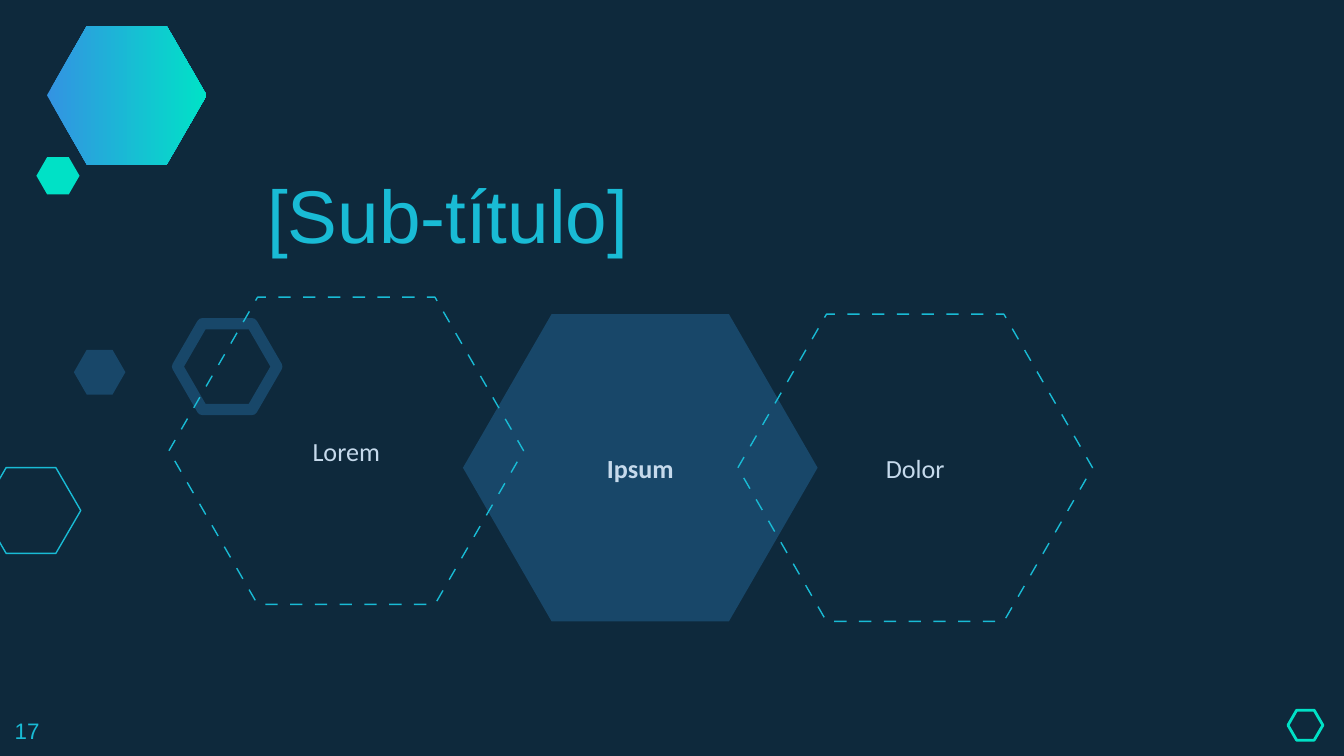
import pptx
import pptx.util
import pptx.dml.color
import pptx.enum.shapes
import pptx.enum.text
import pptx.oxml

Pt = pptx.util.Pt
ALIGN = pptx.enum.text.PP_ALIGN
ANCHOR = pptx.enum.text.MSO_ANCHOR
NS = "http://schemas.openxmlformats.org/drawingml/2006/main"
NAVY, BLUE, CYAN, MINT, PALE = "0E293C", "184769", "19BBD5", "00E1C6", "C6DAEC"


def paint(color, value):
    """Set a colour from a hex string."""
    color.rgb = pptx.dml.color.RGBColor.from_string(value)


def blend(fill, first, last):
    """Fill from left to right with two colours."""
    fill.gradient()
    fill.gradient_angle = 0
    for stop, value, place in zip(fill.gradient_stops, (first, last), (0, 1)):
        paint(stop.color, value)
        stop.position = place


def dash(line):
    """Give a line long, evenly spaced dashes."""
    line._get_or_add_ln().append(pptx.oxml.parse_xml(
        f'<a:custDash xmlns:a="{NS}"><a:ds d="900000" sp="900000"/></a:custDash>'))


def add_hex(shapes, left, top, width, height, fill=None, line=None, weight=0.74):
    """Add a regular hexagon with a plain fill, an outline or neither."""
    kind = pptx.enum.shapes.MSO_SHAPE.HEXAGON
    shape = shapes.add_shape(kind, Pt(left), Pt(top), Pt(width), Pt(height))
    shape.adjustments[0] = 0.25 * width / height
    shape.shadow.inherit = False
    if fill:
        shape.fill.solid()
        paint(shape.fill.fore_color, fill)
    else:
        shape.fill.background()
    if line:
        paint(shape.line.color, line)
        shape.line.width = Pt(weight)
    else:
        shape.line.fill.background()
    return shape


def add_text(shapes, box, words, size, font, color, bold=False,
             align=ALIGN.LEFT, anchor=ANCHOR.TOP, wrap=True):
    """Add a text box that holds one run."""
    frame = shapes.add_textbox(*map(Pt, box)).text_frame
    frame.word_wrap = wrap
    frame.vertical_anchor = anchor
    frame.margin_left = frame.margin_right = Pt(7.2)
    frame.margin_top = frame.margin_bottom = Pt(7.2)
    para = frame.paragraphs[0]
    para.alignment = align
    run = para.add_run()
    run.text = words
    run.font.size = Pt(size)
    run.font.name = font
    run.font.bold = bold
    paint(run.font.color, color)


def add_cell(slide, left, top, words, solid=False):
    """Add a large labelled hexagon, solid or dashed."""
    group = slide.shapes.add_group_shape().shapes
    if solid:
        add_hex(group, left, top, 190, 164.6, fill=BLUE)
    else:
        dash(add_hex(group, left, top, 190, 164.6, line=CYAN).line)
    add_text(group, (left + 32, top + 66.8, 126, 31), words, 14, "Calibri", PALE,
             solid, ALIGN.CENTER, ANCHOR.MIDDLE)


def add_decor(slide):
    """Add the small hexagons around the edges."""
    shapes = slide.shapes
    large = add_hex(shapes, 25.2, 13.9, 85.5, 74.3)
    blend(large.fill, "3393E2", "00E2C7")
    add_hex(shapes, -10, 250.5, 53.3, 46, line=CYAN)
    add_hex(shapes, 39.6, 187.4, 27.6, 24, fill=BLUE)
    add_hex(shapes, 95.1, 173.4, 53.2, 46, line=BLUE, weight=6)
    add_hex(shapes, 19.5, 84.2, 23.1, 20, fill=MINT)
    add_hex(shapes, 690, 380.5, 18.7, 16.1, line=MINT, weight=1.5)


def main():
    """Build and save the slide."""
    deck = pptx.Presentation()
    deck.slide_width, deck.slide_height = Pt(720), Pt(405)
    slide = deck.slides.add_slide(deck.slide_layouts[6])
    slide.background.fill.solid()
    paint(slide.background.fill.fore_color, NAVY)
    add_decor(slide)
    add_cell(slide, 248, 168.3, "Ipsum", solid=True)
    add_text(slide.shapes, (136.1, 83.5, 389.5, 62), "[Sub-título]", 40, "Arial", CYAN,
             anchor=ANCHOR.BOTTOM)
    add_cell(slide, 90.5, 159.2, "Lorem")
    add_cell(slide, 395.3, 168.3, "Dolor")
    add_text(slide.shapes, (0.8, 376.8, 28.8, 28), "17", 12, "Arial", CYAN, wrap=False)
    deck.save("out.pptx")


main()
